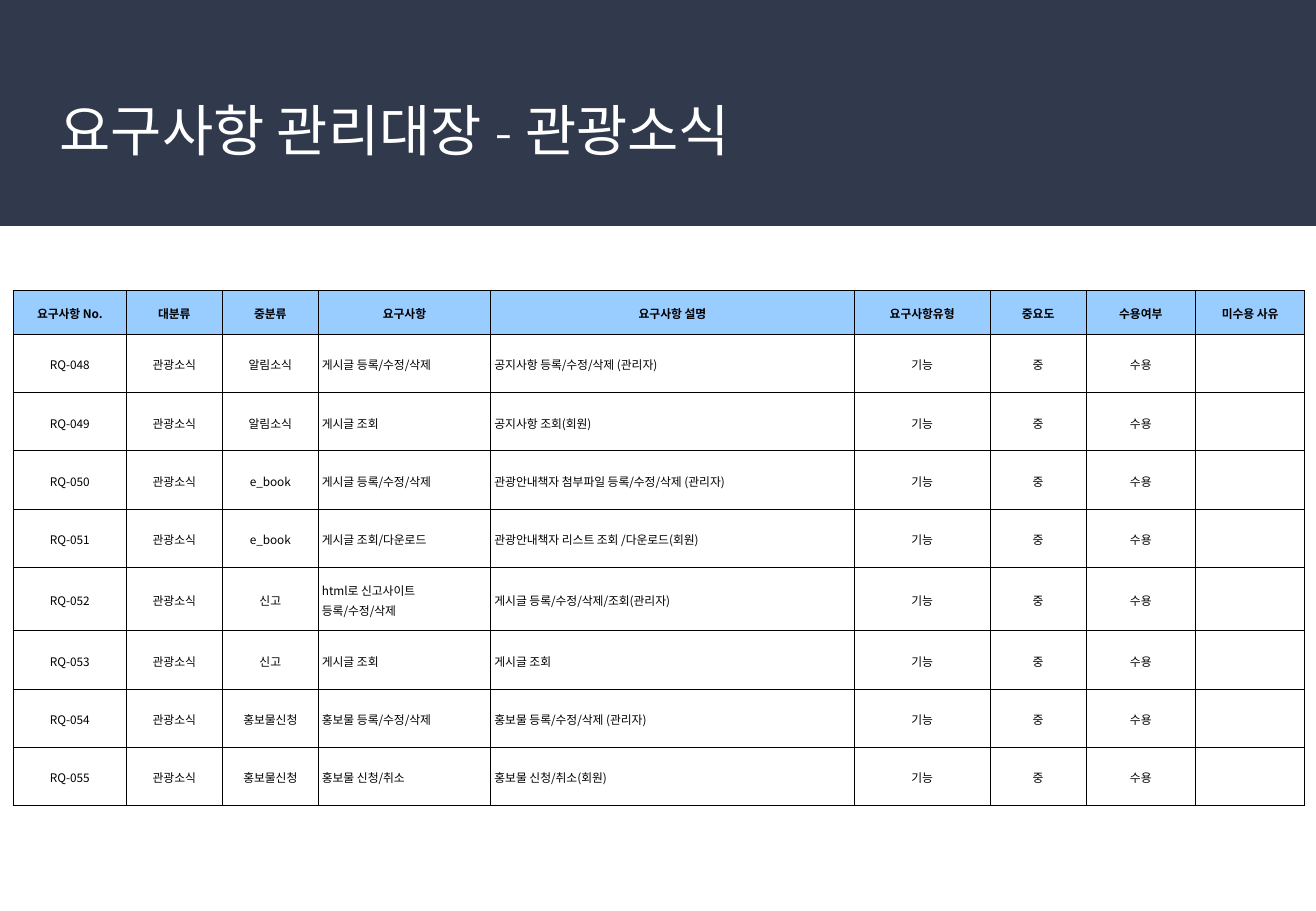
"""Build the requirements register slide for the tourism news section."""
from dataclasses import dataclass

from lxml.etree import SubElement
from pptx import Presentation
from pptx.dml.color import RGBColor
from pptx.enum.shapes import MSO_SHAPE as Shape
from pptx.enum.text import MSO_ANCHOR as Anchor, MSO_AUTO_SIZE as AutoSize, PP_ALIGN as Align
from pptx.oxml.ns import qn
from pptx.slide import Slide
from pptx.table import _Cell as Cell
from pptx.text.text import _Paragraph as Paragraph
from pptx.util import Inches, Pt

NAVY = RGBColor(0x31, 0x39, 0x4D)
SKY = RGBColor(0x99, 0xCC, 0xFF)
WHITE = RGBColor(0xFF, 0xFF, 0xFF)
BLACK = RGBColor(0, 0, 0)
KOREAN = "Noto Sans CJK KR"


@dataclass(frozen=True)
class Column:
    heading: str
    width: float
    align: Align = Align.CENTER
    font: str = KOREAN


@dataclass(frozen=True)
class Requirement:
    category: str
    name: str
    description: str
    height: float = 0.48


COLUMNS = [
    Column("요구사항 No.", 0.93),
    Column("대분류", 0.79),
    Column("중분류", 0.79),
    Column("요구사항", 1.42, Align.LEFT),
    Column("요구사항 설명", 2.99, Align.LEFT),
    Column("요구사항유형", 1.12, font="Calibri"),
    Column("중요도", 0.79, font="Calibri"),
    Column("수용여부", 0.9),
    Column("미수용 사유", 0.9),
]
REQUIREMENTS = [
    Requirement("알림소식", "게시글 등록/수정/삭제", "공지사항 등록/수정/삭제 (관리자)"),
    Requirement("알림소식", "게시글 조회", "공지사항 조회(회원)"),
    Requirement("e_book", "게시글 등록/수정/삭제", "관광안내책자 첨부파일 등록/수정/삭제 (관리자)"),
    Requirement("e_book", "게시글 조회/다운로드", "관광안내책자 리스트 조회 /다운로드(회원)"),
    Requirement("신고", "html로 신고사이트\n등록/수정/삭제", "게시글 등록/수정/삭제/조회(관리자)", 0.52),
    Requirement("신고", "게시글 조회", "게시글 조회"),
    Requirement("홍보물신청", "홍보물 등록/수정/삭제", "홍보물 등록/수정/삭제 (관리자)"),
    Requirement("홍보물신청", "홍보물 신청/취소", "홍보물 신청/취소(회원)"),
]
FIRST_NUMBER = 48
HEADER_HEIGHT = 0.36


def add_span(para: Paragraph, text: str, size: float, font: str, color: RGBColor, bold: bool = False) -> None:
    span = para.add_run()
    span.text = text
    span.font.size = Pt(size)
    span.font.bold = bold
    span.font.color.rgb = color
    span.font.name = font
    SubElement(span.font._element, qn("a:ea"), typeface=KOREAN)


def add_borders(cell: Cell) -> None:
    properties = cell._tc.get_or_add_tcPr()
    for side in ("lnL", "lnR", "lnT", "lnB"):
        line = SubElement(properties, qn(f"a:{side}"), w=str(Pt(0.75)))
        fill = SubElement(line, qn("a:solidFill"))
        SubElement(fill, qn("a:srgbClr"), val=str(BLACK))


def fill_cell(cell: Cell, text: str, column: Column, header: bool) -> None:
    add_borders(cell)
    cell.fill.solid()
    cell.fill.fore_color.rgb = SKY if header else WHITE
    if not text:
        return
    cell.vertical_anchor = Anchor.MIDDLE
    cell.margin_left = cell.margin_right = Inches(0.03)
    cell.margin_top = cell.margin_bottom = Inches(0.1)
    for index, line in enumerate(text.split("\n")):
        para = cell.text_frame.add_paragraph() if index else cell.text_frame.paragraphs[0]
        para.alignment = Align.CENTER if header else column.align
        para.line_spacing = 1.15
        add_span(para, line, 7, KOREAN if header else column.font, BLACK, header)


def add_heading(page: Slide, width: int) -> None:
    banner = page.shapes.add_shape(Shape.RECTANGLE, 0, 0, width, Inches(1.86))
    banner.shadow.inherit = False
    banner.fill.solid()
    banner.fill.fore_color.rgb = NAVY
    banner.line.fill.background()
    page.shapes._spTree.insert(2, banner._element)

    title = page.shapes.title
    title.left, title.top, title.width, title.height = map(Inches, (0.37, 0.73, 10.09, 0.91))
    box = title.text_frame
    box.auto_size = AutoSize.NONE
    box.word_wrap = True
    box.vertical_anchor = Anchor.TOP
    box.margin_left = box.margin_top = box.margin_right = box.margin_bottom = Inches(0.12)
    para = box.paragraphs[0]
    para.alignment = Align.LEFT
    para.line_spacing = 0.9
    add_span(para, "요구사항 관리대장 - 관광소식", 33, "Cambria", WHITE)


def add_register(page: Slide) -> None:
    heights = [HEADER_HEIGHT] + [item.height for item in REQUIREMENTS]
    rows = [[column.heading for column in COLUMNS]]
    for number, item in enumerate(REQUIREMENTS, FIRST_NUMBER):
        rows.append([f"RQ-{number:03}", "관광소식", item.category, item.name,
                     item.description, "기능", "중", "수용", ""])
    table = page.shapes.add_table(
        len(rows), len(COLUMNS), Inches(0.11), Inches(2.39),
        Inches(sum(column.width for column in COLUMNS)), Inches(sum(heights))).table
    for index, column in enumerate(COLUMNS):
        table.columns[index].width = Inches(column.width)
    for row, (height, texts) in enumerate(zip(heights, rows)):
        table.rows[row].height = Inches(height)
        for index, (text, column) in enumerate(zip(texts, COLUMNS)):
            fill_cell(table.cell(row, index), text, column, row == 0)


def main() -> None:
    deck = Presentation()
    deck.slide_width, deck.slide_height = Inches(10.83), Inches(7.5)
    page = deck.slides.add_slide(deck.slide_layouts[5])
    add_heading(page, deck.slide_width)
    add_register(page)
    deck.save("out.pptx")


if __name__ == "__main__":
    main()
